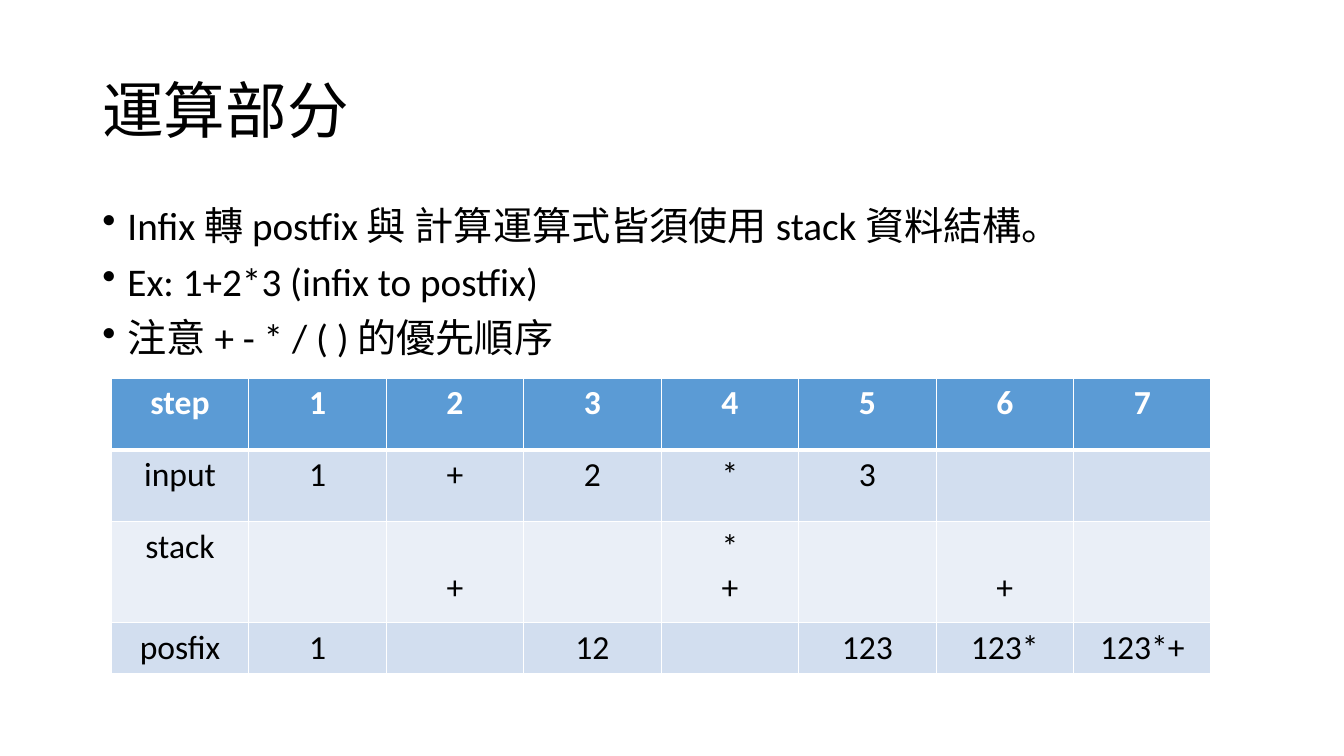
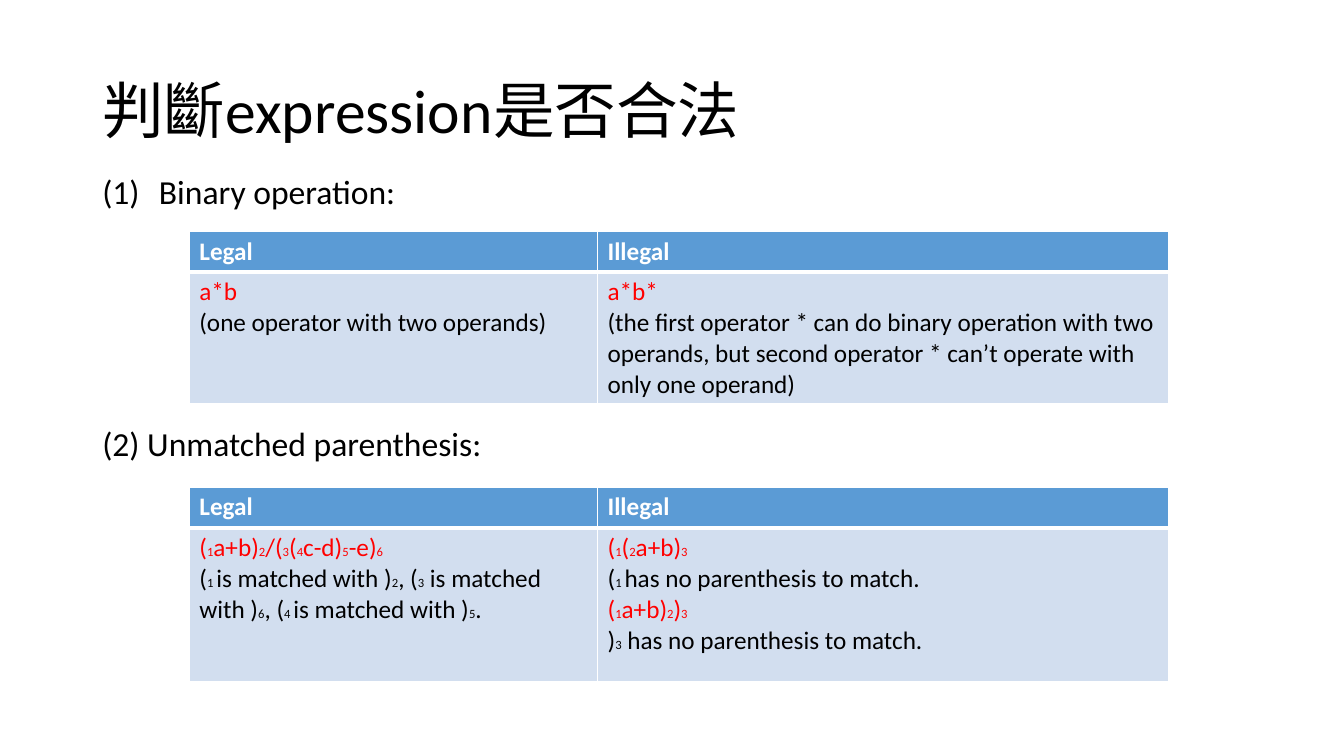
from dataclasses import dataclass
from typing import Any, Optional

import pptx
import pptx.dml.color
import pptx.enum.text
import pptx.oxml.ns
import pptx.util
from lxml import etree


@dataclass(frozen=True)
class Theme:
    font: str = "Calibri"
    black: str = "000000"
    white: str = "FFFFFF"
    red: str = "FF0000"
    header: str = "5B9BD5"
    bands: tuple[str, ...] = ("D2DEEF", "EAEFF7")
    title_size: float = 44
    body_size: float = 28
    label_size: float = 24
    cell_size: float = 18
    index_size: float = 9
    line_spacing: float = 0.9
    thin: float = 1
    thick: float = 3


THEME = Theme()
CENTER = pptx.enum.text.PP_ALIGN.CENTER
LEFT = pptx.enum.text.PP_ALIGN.LEFT
MARGIN_LEFT, CONTENT_WIDTH = 66, 828


@dataclass(frozen=True)
class Box:
    left: float
    top: float
    width: float
    height: float


@dataclass(frozen=True)
class Line:
    text: str
    color: str = THEME.black
    bold: bool = False


@dataclass(frozen=True)
class Bullet:
    tag: str
    attribute: str
    value: str
    indent: float


@dataclass(frozen=True)
class Cell:
    lines: tuple[Line, ...] = ()
    top_inset: float = 3.6


@dataclass(frozen=True)
class Grid:
    left: float
    top: float
    widths: tuple[float, ...]
    heights: tuple[float, ...]
    rows: tuple[tuple[Cell, ...], ...]
    size: float
    alignment: Any = LEFT


DOT = Bullet("a:buChar", "char", "•", 18)
NUMBER = Bullet("a:buAutoNum", "type", "arabicParenBoth", 40.5)


def apply(target: Any, values: dict[str, Any]) -> None:
    for name, value in values.items():
        setattr(target, name, value)


def rgb(color: str) -> pptx.dml.color.RGBColor:
    return pptx.dml.color.RGBColor.from_string(color)


def write_line(paragraph: Any, line: Line, size: float) -> None:
    for position, part in enumerate(line.text.split("|")):
        if not part:
            continue
        run = paragraph.add_run()
        run.text = part
        run_size = THEME.index_size if position % 2 else size
        apply(run.font, {"name": THEME.font, "size": pptx.util.Pt(run_size), "bold": line.bold})
        run.font.color.rgb = rgb(line.color)


def write_lines(frame: Any, lines: tuple[Line, ...], size: float, values: dict[str, Any]) -> None:
    for position, line in enumerate(lines):
        paragraph = frame.add_paragraph() if position else frame.paragraphs[0]
        apply(paragraph, values)
        write_line(paragraph, line, size)


def set_bullet(paragraph: Any, bullet: Bullet) -> None:
    properties = paragraph._p.get_or_add_pPr()
    indent = pptx.util.Pt(bullet.indent)
    properties.set("marL", str(indent))
    properties.set("indent", str(-indent))
    mark = etree.SubElement(properties, pptx.oxml.ns.qn(bullet.tag))
    mark.set(bullet.attribute, bullet.value)


def draw_text(slide: Any, box: Box, texts: tuple[str, ...], size: float,
              bullet: Optional[Bullet] = None, anchor: Any = pptx.enum.text.MSO_ANCHOR.TOP) -> None:
    lengths = (pptx.util.Pt(length) for length in (box.left, box.top, box.width, box.height))
    frame = slide.shapes.add_textbox(*lengths).text_frame
    apply(frame, {"word_wrap": True, "vertical_anchor": anchor})
    spacing = {"line_spacing": THEME.line_spacing, "space_before": pptx.util.Pt(10)}
    write_lines(frame, tuple(Line(text) for text in texts), size, spacing)
    if bullet:
        for paragraph in frame.paragraphs:
            set_bullet(paragraph, bullet)


def draw_title(slide: Any, text: str) -> None:
    box = Box(MARGIN_LEFT, 28.75, CONTENT_WIDTH, 104.4)
    draw_text(slide, box, (text,), THEME.title_size, anchor=pptx.enum.text.MSO_ANCHOR.MIDDLE)


def set_borders(cell: Any, row: int) -> None:
    properties = cell._tc.get_or_add_tcPr()
    widths = {
        "a:lnL": THEME.thin,
        "a:lnR": THEME.thin,
        "a:lnT": THEME.thick if row == 1 else THEME.thin,
        "a:lnB": THEME.thick if row == 0 else THEME.thin,
    }
    for tag, width in widths.items():
        line = etree.SubElement(properties, pptx.oxml.ns.qn(tag), w=str(pptx.util.Pt(width)))
        fill = etree.SubElement(line, pptx.oxml.ns.qn("a:solidFill"))
        etree.SubElement(fill, pptx.oxml.ns.qn("a:srgbClr"), val=THEME.white)


def draw_grid(slide: Any, grid: Grid) -> None:
    lengths = (grid.left, grid.top, sum(grid.widths), sum(grid.heights))
    table = slide.shapes.add_table(
        len(grid.heights), len(grid.widths), *(pptx.util.Pt(length) for length in lengths)).table
    for column, width in zip(table.columns, grid.widths):
        column.width = pptx.util.Pt(width)
    for row, height in zip(table.rows, grid.heights):
        row.height = pptx.util.Pt(height)
    for row_index, contents in enumerate(grid.rows):
        color = THEME.bands[(row_index - 1) % 2] if row_index else THEME.header
        for column_index, content in enumerate(contents):
            cell = table.cell(row_index, column_index)
            set_borders(cell, row_index)
            cell.fill.solid()
            cell.fill.fore_color.rgb = rgb(color)
            cell.margin_top = pptx.util.Pt(content.top_inset)
            write_lines(cell.text_frame, content.lines, grid.size, {"alignment": grid.alignment})


def header_row(*texts: str) -> tuple[Cell, ...]:
    return tuple(Cell((Line(text, THEME.white, True),)) for text in texts)


def plain_row(*texts: str) -> tuple[Cell, ...]:
    return tuple(Cell(tuple(Line(part) for part in text.split("\n"))) for text in texts)


def example_cell(*pairs: tuple[str, str]) -> Cell:
    return Cell(tuple(
        line for expression, reason in pairs for line in (Line(expression, THEME.red), Line(reason))))


def draw_comparison(slide: Any, top: float, height: float, legal: Cell, illegal: Cell) -> None:
    rows = (header_row("Legal", "Illegal"), (legal, illegal))
    draw_grid(slide, Grid(135.2, top, (291.6, 408.2), (29.2, height), rows, THEME.cell_size))


def build_operation_slide(slide: Any) -> None:
    draw_title(slide, "運算部分")
    points = (
        "Infix 轉 postfix 與 計算運算式皆須使用 stack 資料結構。",
        "Ex: 1+2*3 (infix to postfix)",
        "注意 + - * / ( ) 的優先順序",
    )
    draw_text(slide, Box(MARGIN_LEFT, 143.75, CONTENT_WIDTH, 342.6), points, THEME.body_size, DOT)
    stack_bottom = Cell((Line("+"),), top_inset=32.9)
    empty = Cell()
    stack_row = (*plain_row("stack"), empty, stack_bottom, empty,
                 *plain_row("*\n+"), empty, stack_bottom, empty)
    rows = (
        header_row("step", *(str(step) for step in range(1, 8))),
        plain_row("input", "1", "+", "2", "*", "3", "", ""),
        stack_row,
        plain_row("posfix", "1", "", "12", "", "123", "123*", "123*+"),
    )
    widths = (98.2,) * len(rows[0])
    draw_grid(slide, Grid(79.5, 270, widths, (51.2, 51.2, 72, 36.5), rows, THEME.label_size, CENTER))


def build_validity_slide(slide: Any) -> None:
    draw_title(slide, "判斷expression是否合法")
    labels = ((121.7, "Binary operation:", NUMBER), (301.7, "(2) Unmatched parenthesis:", None))
    for top, text, bullet in labels:
        draw_text(slide, Box(MARGIN_LEFT, top, CONTENT_WIDTH, 36), (text,), THEME.label_size, bullet)
    draw_comparison(
        slide, 165, 94,
        example_cell(("a*b", "(one operator with two operands)")),
        example_cell(("a*b*", "(the first operator * can do binary operation with two operands, "
                              "but second operator * can’t operate with only one operand)")),
    )
    draw_comparison(
        slide, 347.8, 110,
        example_cell(("(|1|a+b)|2|/(|3|(|4|c-d)|5|-e)|6",
                      "(|1 |is matched with )|2|, (|3| is matched with )|6|, (|4 |is matched with )|5|.")),
        example_cell(("(|1|(|2|a+b)|3", "(|1 |has no parenthesis to match."),
                     ("(|1|a+b)|2|)|3", ")|3| has no parenthesis to match.")),
    )


def main() -> None:
    presentation = pptx.Presentation()
    apply(presentation, {"slide_width": pptx.util.Pt(960), "slide_height": pptx.util.Pt(540)})
    for build in (build_operation_slide, build_validity_slide):
        build(presentation.slides.add_slide(presentation.slide_layouts[6]))
    presentation.save("out.pptx")


main()
